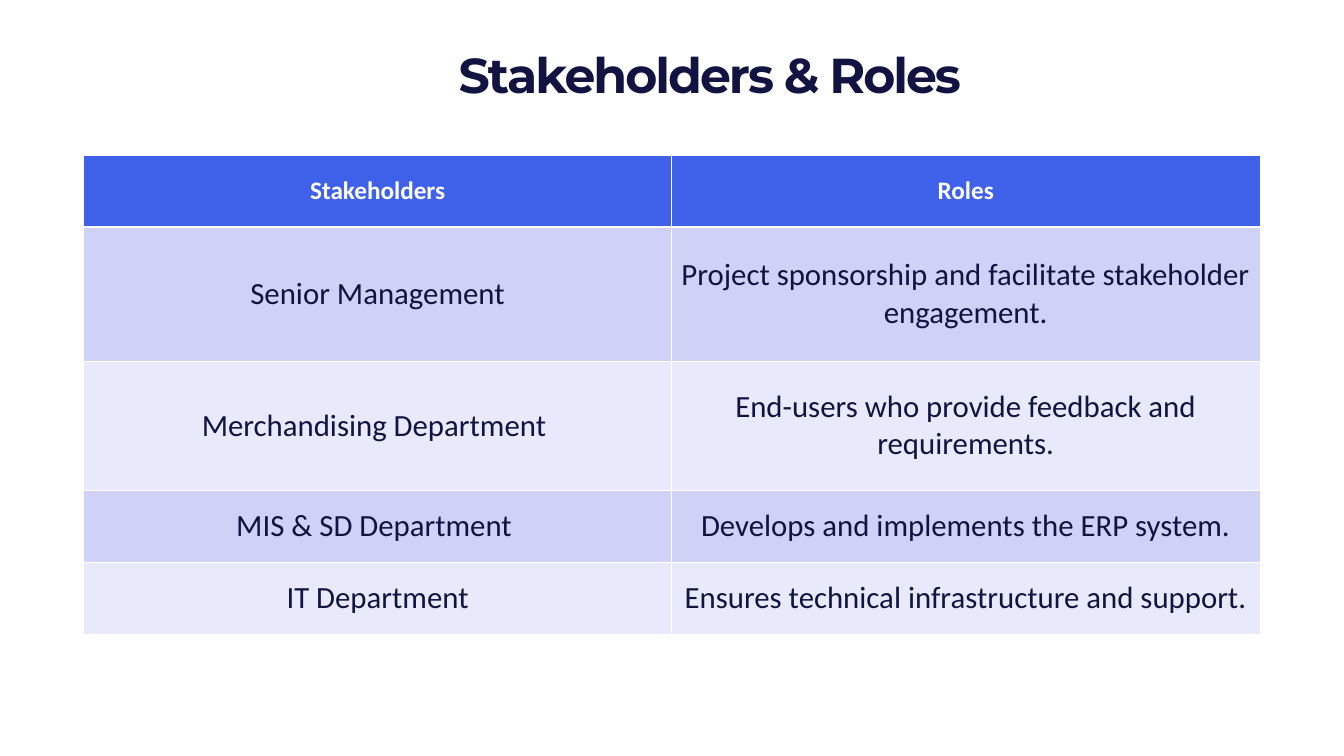
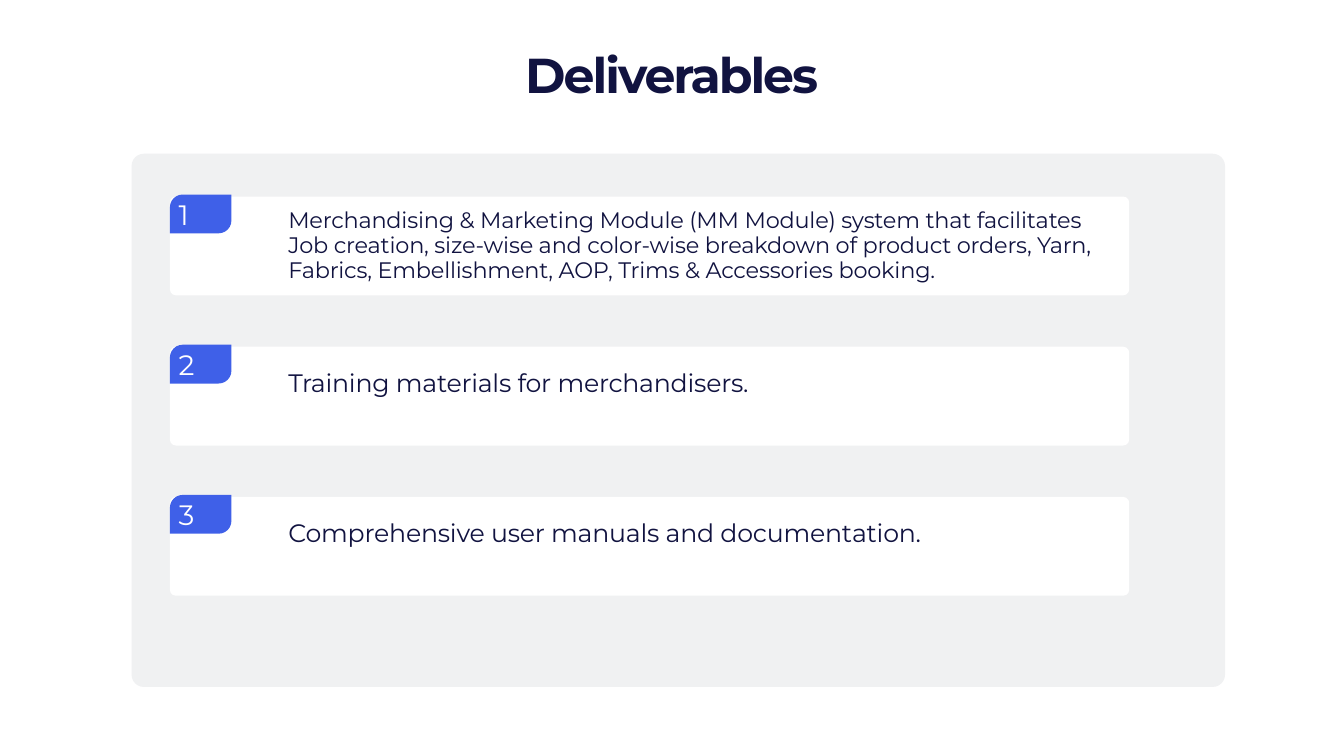
from pptx import Presentation
from pptx.dml.color import RGBColor
from pptx.enum.shapes import MSO_SHAPE
from pptx.enum.text import MSO_ANCHOR, MSO_AUTO_SIZE, PP_ALIGN
from pptx.oxml.ns import qn
from pptx.util import Inches, Pt
from lxml.etree import SubElement

NAVY, BLUE, WHITE, GREY = "111340", "3F60E8", "FFFFFF", "C4C8CE"
BANDS = ["CFD2F6", "E8EAFB"]
HEADING_FONT, TABLE_FONT = "Montserrat", "Calibri"


def rgb(color):
    return RGBColor.from_string(color)


class Deck:
    def __init__(self):
        self.prs = Presentation()
        self.prs.slide_width, self.prs.slide_height = Inches(26.66), Inches(15)

    def add_slide(self):
        self.s = self.prs.slides.add_slide(self.prs.slide_layouts[6])

    def set_text(self, tf, text, size, color, font=HEADING_FONT, bold=False,
                 align=PP_ALIGN.LEFT, spacing=None):
        p = tf.paragraphs[0]
        p.alignment = align
        p.font.size, p.font.name, p.font.bold = Pt(size), font, bold
        p.font.color.rgb = rgb(color)
        r = p.add_run()
        r.text = text
        if spacing is not None:
            r._r.get_or_add_rPr().set("spc", str(round(spacing * 100)))
        return p

    def text(self, box, text, size, **style):
        tf = self.s.shapes.add_textbox(*map(Inches, box)).text_frame
        tf.word_wrap = True
        tf.auto_size = MSO_AUTO_SIZE.SHAPE_TO_FIT_TEXT
        return tf, self.set_text(tf, text, size, NAVY, **style)

    def title(self, text, left=1.66, width=23.33):
        tf, _ = self.text((left, 0.82, width, 1.28), text, 70, bold=True,
                          align=PP_ALIGN.CENTER, spacing=-2.9)
        tf.vertical_anchor = MSO_ANCHOR.BOTTOM

    def shape(self, kind, box, color, adjust, alpha=None):
        sp = self.s.shapes.add_shape(kind, *map(Inches, box))
        sp.shadow.inherit = False
        sp.adjustments[0] = adjust
        sp.fill.solid()
        sp.fill.fore_color.rgb = rgb(color)
        sp.line.fill.background()
        if alpha is not None:
            clr = sp._element.spPr.find(qn("a:solidFill"))[0]
            SubElement(clr, qn("a:alpha")).set("val", str(alpha * 1000))
        return sp

    def badge(self, box, text):
        sp = self.shape(MSO_SHAPE.ROUND_2_DIAG_RECTANGLE, box, BLUE, 0.33)
        tf = sp.text_frame
        tf.word_wrap = False
        tf.vertical_anchor = MSO_ANCHOR.MIDDLE
        self.set_text(tf, text, 40, WHITE)

    def borders(self, cell, bottom):
        tcPr = cell._tc.get_or_add_tcPr()
        for side, width in (("L", 1), ("R", 1), ("T", 1), ("B", bottom)):
            ln = SubElement(tcPr, qn(f"a:ln{side}"), w=str(Pt(width)))
            fill = SubElement(ln, qn("a:solidFill"))
            SubElement(fill, qn("a:srgbClr"), val=WHITE)

    def table(self, box, rows, heights):
        table = self.s.shapes.add_table(len(rows), len(rows[0]), *map(Inches, box)).table
        for i, (row, height) in enumerate(zip(rows, heights)):
            table.rows[i].height = Inches(height)
            header = i == 0
            for j, text in enumerate(row):
                cell = table.cell(i, j)
                self.borders(cell, bottom=3 if header else 1)
                cell.fill.solid()
                cell.fill.fore_color.rgb = rgb(BLUE if header else BANDS[(i - 1) % 2])
                cell.vertical_anchor = MSO_ANCHOR.MIDDLE
                self.set_text(cell.text_frame, text, 36 if header else 44,
                              WHITE if header else NAVY, TABLE_FONT, header,
                              PP_ALIGN.CENTER)


def stakeholders(deck):
    deck.add_slide()
    deck.title("Stakeholders & Roles", left=3.17, width=21.82)
    deck.table((1.66, 3.08, 23.33, 9.5), [
        ("Stakeholders", "Roles"),
        ("Senior Management",
         "Project sponsorship and facilitate stakeholder engagement."),
        ("Merchandising Department ",
         "End-users who provide feedback and requirements."),
        ("MIS & SD Department ", "Develops and implements the ERP system."),
        ("IT Department", "Ensures technical infrastructure and support."),
    ], heights=[1.43, 2.66, 2.55, 1.43, 1.43])


def deliverables(deck):
    deck.add_slide()
    deck.title("Deliverables")
    # Background panel
    deck.shape(MSO_SHAPE.ROUNDED_RECTANGLE, (2.61, 3.05, 21.69, 10.58), GREY, 0.023, alpha=25)
    # Numbered cards: text, size, text offset from the card top, text height
    cards = [
        ("Merchandising & Marketing Module (MM Module) system that facilitates "
         "Job creation, size-wise and color-wise breakdown of product orders, Yarn, "
         "Fabrics, Embellishment, AOP, Trims & Accessories booking.", 32, 0.17, 1.62),
        ("Training materials for merchandisers.", 36, 0.45, 0.61),
        ("Comprehensive user manuals and documentation.", 36, 0.45, 0.61),
    ]
    for i, (text, size, offset, height) in enumerate(cards):
        top = 3.9 + 2.98 * i
        deck.shape(MSO_SHAPE.ROUNDED_RECTANGLE, (3.37, top, 19.03, 1.96), WHITE, 0.061)
        deck.badge((3.37, top - 0.04, 1.22, 0.77), str(i + 1))
        _, p = deck.text((5.62, top + offset, 16.49, height), text, size, spacing=-0.3)
        p.line_spacing = Pt(36)


def main():
    deck = Deck()
    stakeholders(deck)
    deliverables(deck)
    deck.prs.save("out.pptx")


if __name__ == "__main__":
    main()
